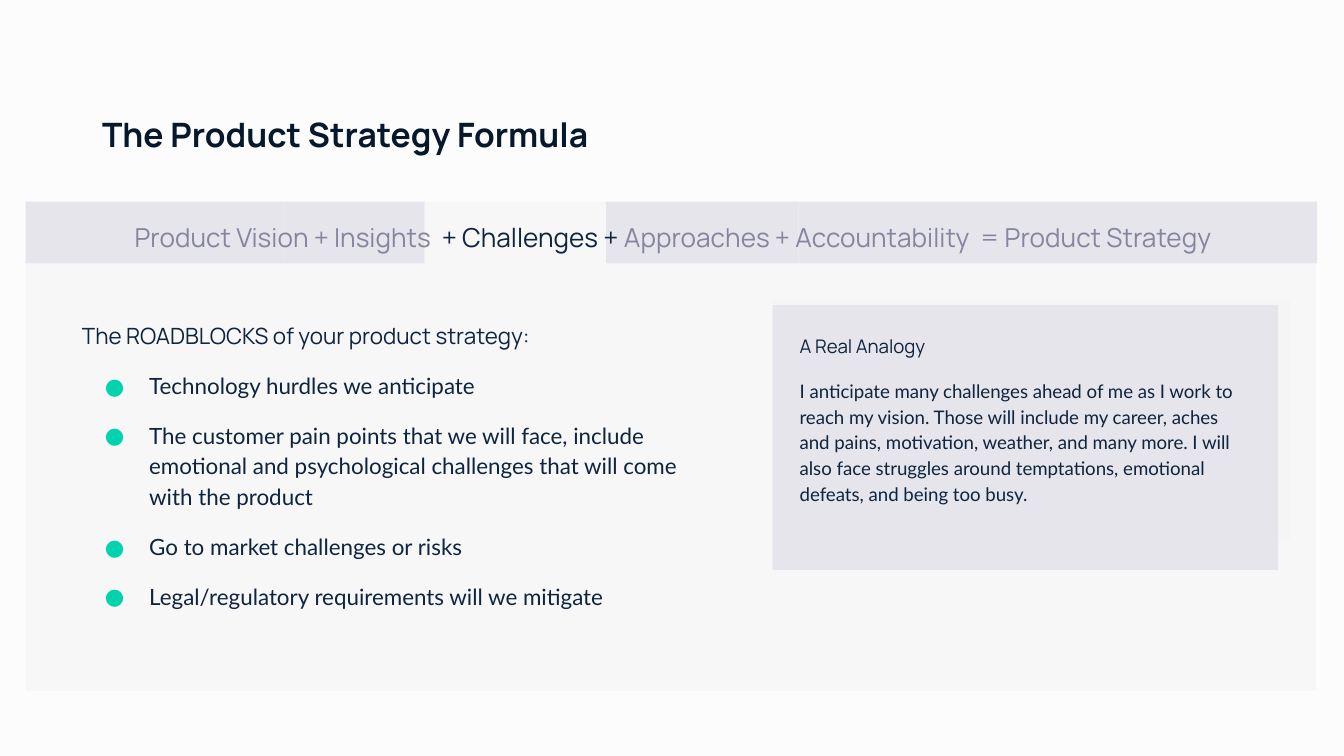
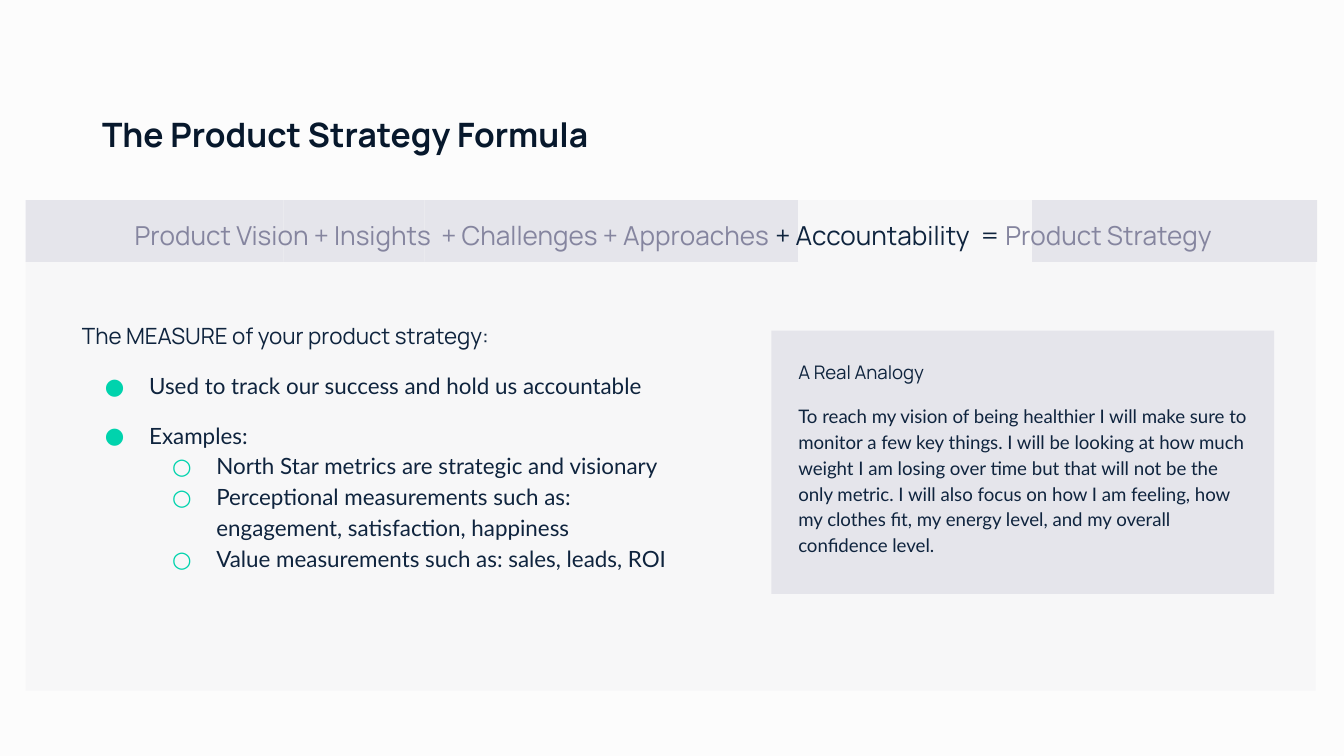
import itertools

import lxml.etree
import pptx
import pptx.dml.color
import pptx.enum.shapes
import pptx.enum.text
import pptx.oxml.ns
import pptx.util

Inches = pptx.util.Inches
Pt = pptx.util.Pt

BACKGROUND = "FCFCFC"
PANEL = "F7F7F8"
HALO = "F5F5F5"
BAND = "E5E5EB"
TITLE = "07182C"
TEXT = "0F243E"
MUTED = "85859F"
BULLET = "00D3AD"
HEADING_FONT = "Manrope"
BODY_FONT = "Lato"

LINE_SPACING = 1.15
BAND_EDGES = [0.19, 2.11, 3.16, 4.51, 5.94, 7.68, 9.8]
BAND_HEIGHT = 0.46
PANEL_BOX = (0.19, 1.94, 9.6, 3.2)
TITLE_BOX = (0.66, 0.75, 4.3, 0.59)
BULLETS = ["●", "○"]

SLIDES = [
    {
        "band_top": 1.5,
        "active_segment": 2,
        "formula": [
            ("Product Vision + Insights", MUTED),
            ("  + Challenges +", TEXT),
            (" Approaches + Accountability  = Product Strategy", MUTED),
        ],
        "heading": "The ROADBLOCKS of your product strategy:",
        "list_box": (0.51, 2.27, 4.93, 2.57),
        "points": [
            (0, "Technology hurdles we anticipate"),
            (0, "The customer pain points that we will face, include emotional and "
                "psychological challenges that will come with the product"),
            (0, "Go to market challenges or risks"),
            (0, "Legal/regulatory requirements will we mitigate"),
        ],
        "halo_box": (5.75, 2.23, 3.85, 1.79),
        "analogy_box": (5.75, 2.27, 3.76, 1.97),
        "analogy": "I anticipate many challenges ahead of me as I work to reach my vision. "
                   "Those will include my career, aches and pains, motivation, weather, and "
                   "many more. I will also face struggles around temptations, emotional "
                   "defeats, and being too busy.",
    },
    {
        "band_top": 1.49,
        "active_segment": 4,
        "formula": [
            ("Product Vision + Insights  + Challenges + Approaches", MUTED),
            (" + Accountability  =", TEXT),
            (" Product Strategy", MUTED),
        ],
        "heading": "The MEASURE of your product strategy:",
        "list_box": (0.51, 2.27, 4.76, 2.57),
        "points": [
            (0, "Used to track our success and hold us accountable"),
            (0, "Examples:"),
            (1, "North Star metrics are strategic and visionary"),
            (1, "Perceptional measurements such as: engagement, satisfaction, happiness"),
            (1, "Value measurements such as: sales, leads, ROI"),
        ],
        "halo_box": None,
        "analogy_box": (5.74, 2.46, 3.74, 1.96),
        "analogy": "To reach my vision of being healthier I will make sure to monitor a few "
                   "key things. I will be looking at how much weight I am losing over time but "
                   "that will not be the only metric. I will also focus on how I am feeling, "
                   "how my clothes fit, my energy level, and my overall confidence level.",
    },
]


def color(value):
    return pptx.dml.color.RGBColor.from_string(value)


def add_rectangle(slide, box, fill):
    shape = slide.shapes.add_shape(
        pptx.enum.shapes.MSO_SHAPE.RECTANGLE, *map(Inches, box))
    shape.shadow.inherit = False
    shape.fill.solid()
    shape.fill.fore_color.rgb = color(fill)
    shape.line.fill.background()
    return shape


def set_frame(shape, inset=0.1):
    """Anchor the text at the top, wrapped and unscaled, and return its frame."""
    frame = shape.text_frame
    frame.word_wrap = True
    frame.auto_size = pptx.enum.text.MSO_AUTO_SIZE.NONE
    frame.vertical_anchor = pptx.enum.text.MSO_ANCHOR.TOP
    frame.margin_left = frame.margin_top = frame.margin_right = Inches(inset)
    frame.margin_bottom = Inches(0.1)
    return frame


def place_on_top(placeholder, box):
    placeholder.left, placeholder.top, placeholder.width, placeholder.height = map(Inches, box)
    placeholder.element.getparent().append(placeholder.element)
    return set_frame(placeholder)


def set_bullet(paragraph, level=None):
    """Give the paragraph the bullet of its level, or none."""
    properties = paragraph._p.get_or_add_pPr()

    def add(parent, tag, **attributes):
        return lxml.etree.SubElement(parent, pptx.oxml.ns.qn(tag), **attributes)

    if level is None:
        properties.set("marL", "0")
        properties.set("indent", "0")
        add(properties, "a:buNone")
        return
    paragraph.level = level
    properties.set("marL", str(Inches(0.5 * (level + 1))))
    properties.set("indent", str(Inches(-0.33)))
    add(add(properties, "a:buClr"), "a:srgbClr", val=BULLET)
    add(properties, "a:buFont", typeface=HEADING_FONT)
    add(properties, "a:buChar", char=BULLETS[level])


def format_paragraph(paragraph, size, font=BODY_FONT, before=0, after=0, level=None):
    paragraph.alignment = pptx.enum.text.PP_ALIGN.LEFT
    paragraph.line_spacing = LINE_SPACING
    paragraph.space_before = Pt(before)
    paragraph.space_after = Pt(after)
    set_bullet(paragraph, level)
    paragraph.font.size = Pt(size)
    paragraph.font.name = font
    paragraph.font.color.rgb = color(TEXT)


def add_title(slide):
    frame = place_on_top(slide.shapes.title, TITLE_BOX)
    frame.text = "The Product Strategy Formula"
    paragraph = frame.paragraphs[0]
    paragraph.alignment = pptx.enum.text.PP_ALIGN.LEFT
    paragraph.font.size = Pt(18)
    paragraph.font.name = HEADING_FONT
    paragraph.font.bold = True
    paragraph.font.color.rgb = color(TITLE)


def add_band(slide, top, active_segment):
    for index, (left, right) in enumerate(itertools.pairwise(BAND_EDGES)):
        fill = PANEL if index == active_segment else BAND
        add_rectangle(slide, (left, top, right - left, BAND_HEIGHT), fill)


def add_formula(placeholder, top, parts):
    paragraph = place_on_top(placeholder, (0.31, top + 0.01, 9.4, 0.44)).paragraphs[0]
    format_paragraph(paragraph, 14, HEADING_FONT, after=10)
    paragraph.alignment = pptx.enum.text.PP_ALIGN.CENTER
    for text, run_color in parts:
        run = paragraph.add_run()
        run.text = text
        run.font.color.rgb = color(run_color)


def add_points(placeholder, box, heading, points):
    frame = place_on_top(placeholder, box)
    frame.text = heading
    format_paragraph(frame.paragraphs[0], 12, HEADING_FONT)
    for level, text in points:
        paragraph = frame.add_paragraph()
        paragraph.text = text
        format_paragraph(paragraph, 12, before=0 if level else 10, level=level)


def add_analogy(slide, box, text):
    frame = set_frame(add_rectangle(slide, box, BAND), inset=0.2)
    frame.text = "A Real Analogy"
    format_paragraph(frame.paragraphs[0], 10, HEADING_FONT)
    paragraph = frame.add_paragraph()
    paragraph.text = text
    format_paragraph(paragraph, 10, before=10)


def main():
    presentation = pptx.Presentation()
    presentation.slide_width = Inches(10)
    presentation.slide_height = presentation.slide_width * 9 // 16
    background = presentation.slide_master.background.fill
    background.solid()
    background.fore_color.rgb = color(BACKGROUND)
    two_content = presentation.slide_layouts.get_by_name("Two Content")

    for content in SLIDES:
        slide = presentation.slides.add_slide(two_content)
        formula, points = slide.placeholders[1], slide.placeholders[2]
        add_rectangle(slide, PANEL_BOX, PANEL)
        add_band(slide, content["band_top"], content["active_segment"])
        add_title(slide)
        add_formula(formula, content["band_top"], content["formula"])
        add_points(points, content["list_box"], content["heading"], content["points"])
        if content["halo_box"]:
            add_rectangle(slide, content["halo_box"], HALO)
        add_analogy(slide, content["analogy_box"], content["analogy"])

    presentation.save("out.pptx")


if __name__ == "__main__":
    main()
